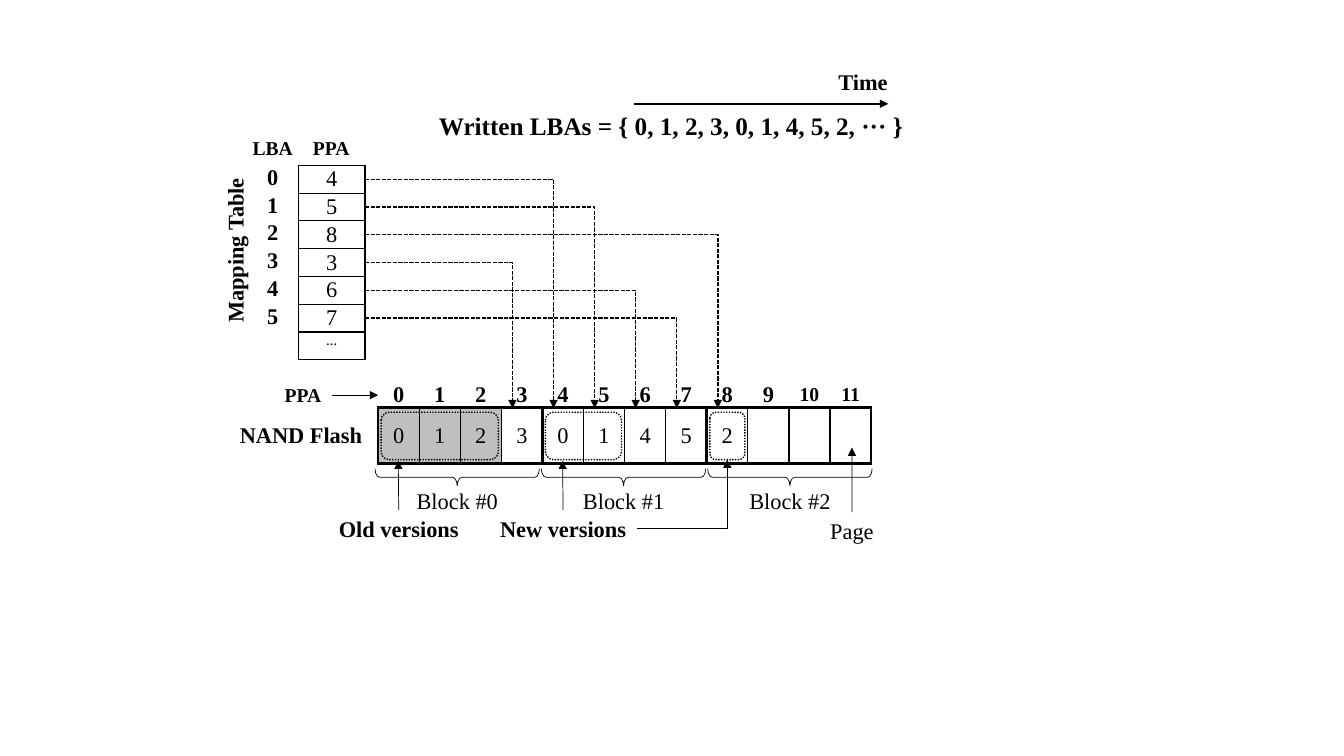
from lxml.etree import SubElement
from pptx import Presentation
from pptx.dml.color import RGBColor
from pptx.enum.dml import MSO_LINE_DASH_STYLE as Dash
from pptx.enum.shapes import MSO_CONNECTOR as Link, MSO_SHAPE as Shape
from pptx.enum.text import MSO_ANCHOR as Anchor, MSO_AUTO_SIZE as AutoSize, PP_ALIGN as Align
from pptx.oxml.ns import qn
from pptx.util import Inches, Pt

# Content
MAPPING = [("0", "4"), ("1", "5"), ("2", "8"), ("3", "3"), ("4", "6"), ("5", "7"), ("", "…")]
STORED = ["0", "1", "2", "3", "0", "1", "4", "5", "2", "", "", ""]
OLD_PAGES = 3
BLOCKS = ["Block #0", "Block #1", "Block #2"]
VERSION_GROUPS = [(0, 3), (4, 2), (8, 1)]  # first page, number of pages
LABELS = {  # name: text, left, top, width, size, bold
    "writes": ("Written LBAs = { 0, 1, 2, 3, 0, 1, 4, 5, 2, ··· }", 4.23, 1.05, 4.85, 18, True),
    "time": ("Time", 8.21, 0.63, 0.7, 16, True),
    "mapping": ("Mapping Table", 1.5, 2.3, 1.66, 16, True),
    "lba head": ("LBA", 2.4, 1.3, 0.61, 14, True),
    "ppa head": ("PPA", 3, 1.3, 0.57, 14, True),
    "ppa": ("PPA", 2.72, 3.75, 0.57, 14, True),
    "flash": ("NAND Flash", 2.27, 4.13, 1.43, 16, True),
    "old": ("Old versions", 3.25, 5.06, 1.41, 16, True),
    "new": ("New versions", 4.85, 5.06, 1.47, 16, True),
    "page": ("Page", 8.13, 5.08, 0.64, 16, False),
}
LABEL_HEIGHT = {14: 0.34, 16: 0.37, 18: 0.4}
FONT, INK, OLD_FILL = "Times New Roman", "000000", "BFBFBF"

# Grid, in inches
FLASH_X, FLASH_Y, FLASH_W, FLASH_H = 3.75, 4.05, 4.89, 0.55
PAGE_W = FLASH_W / len(STORED)
BLOCK_W = FLASH_W / len(BLOCKS)
MAP_X, MAP_Y, MAP_COLS, MAP_H = 2.43, 1.64, (0.53, 0.66), 1.93
MAP_ROW = MAP_H / len(MAPPING)
BRACE_X, BRACE_PITCH, BRACE_H = 3.72, 1.65, 0.17

prs = Presentation()
prs.slide_width, prs.slide_height = Inches(13.33), Inches(7.5)
slide = prs.slides.add_slide(prs.slide_layouts[6])
shapes = slide.shapes


def color(value):
    return RGBColor.from_string(value)


def box(*lengths):
    return [Inches(length) for length in lengths]


def write(paragraph, text, size, bold=False, font=FONT, align=Align.CENTER):
    paragraph.alignment = align
    run = paragraph.add_run()
    run.text = text
    run.font.size, run.font.bold, run.font.name = Pt(size), bold, font
    run.font.color.rgb = color(INK)


def label(text, left, top, width, size, bold):
    text_box = shapes.add_textbox(*box(left, top, width, LABEL_HEIGHT[size]))
    frame = text_box.text_frame
    frame.word_wrap, frame.auto_size = False, AutoSize.SHAPE_TO_FIT_TEXT
    write(frame.paragraphs[0], text, size, bold)
    return text_box


def table(left, top, widths, row_count, height):
    grid = shapes.add_table(row_count, len(widths), *box(left, top, sum(widths), height)).table
    grid.first_row = grid.horz_banding = False
    for column, width in zip(grid.columns, widths):
        column.width = Inches(width)
    for row in grid.rows:
        row.height = Inches(height / row_count)
    return grid


def style_cell(cell, border=0, fill=None):
    """Border is a width in points; 0 leaves all four sides open."""
    cell.vertical_anchor = Anchor.MIDDLE
    props = cell._tc.get_or_add_tcPr()
    for side in ("a:lnL", "a:lnR", "a:lnT", "a:lnB"):
        edge = SubElement(props, qn(side), w=str(Pt(border)))
        if border:
            SubElement(SubElement(edge, qn("a:solidFill")), qn("a:srgbClr"), val=INK)
        else:
            SubElement(edge, qn("a:noFill"))
    if fill:
        cell.fill.solid()
        cell.fill.fore_color.rgb = color(fill)
    else:
        cell.fill.background()


def outline(kind, left, top, width, height, weight):
    part = shapes.add_shape(kind, *box(left, top, width, height))
    part.shadow.inherit = False
    part.fill.background()
    part.line.color.rgb, part.line.width = color(INK), Pt(weight)
    return part


def arrow(start, end, weight, kind=Link.STRAIGHT, dash=None):
    link = shapes.add_connector(kind, *box(*start, *end))
    link.line.color.rgb, link.line.width = color(INK), Pt(weight)
    if dash:
        link.line.dash_style = dash
    props = link._element.spPr
    SubElement(link.line._get_or_add_ln(), qn("a:tailEnd"), type="triangle")
    SubElement(props, qn("a:effectLst"))
    if kind == Link.ELBOW:  # run level first, turn at the far end
        guides = props.find(qn("a:prstGeom")).get_or_add_avLst()
        SubElement(guides, qn("a:gd"), name="adj1", fmla="val 100000")
    return link


def page_x(page):
    return FLASH_X + page * PAGE_W


# Flash pages
pages = table(FLASH_X, FLASH_Y, [PAGE_W] * len(STORED), 1, FLASH_H)
for index, lba in enumerate(STORED):
    cell = pages.cell(0, index)
    style_cell(cell, 1, OLD_FILL if index < OLD_PAGES else None)
    if lba:
        write(cell.text_frame.paragraphs[0], lba, 16)

# Mapping table
mapping = table(MAP_X, MAP_Y, MAP_COLS, len(MAPPING), MAP_H)
for row, entry in enumerate(MAPPING):
    for column, value in enumerate(entry):
        cell = mapping.cell(row, column)
        cell.margin_left = cell.margin_right = cell.margin_top = cell.margin_bottom = 0
        style_cell(cell, column)
        line = cell.text_frame.paragraphs[0]
        if value == "…":
            cell.vertical_anchor = Anchor.TOP
            write(line, value, 10.5, font="Calibri")
        elif value:
            if column == 0:
                cell.margin_left, cell.vertical_anchor = Inches(0.22), Anchor.TOP
            write(line, value, 16, column == 0, align=Align.CENTER if column else Align.LEFT)
        else:
            SubElement(line._p, qn("a:endParaRPr"), sz="1000")

# Arrows from mapping rows to flash pages
for row, (_, ppa) in enumerate(MAPPING[:-1]):
    start = (MAP_X + sum(MAP_COLS), MAP_Y + (row + 0.5) * MAP_ROW)
    arrow(start, (page_x(int(ppa) + 0.27), FLASH_Y), 1, Link.ELBOW, Dash.SQUARE_DOT)

# Blocks: heavy frame, braces and names
frames = table(FLASH_X, FLASH_Y - 0.01, [BLOCK_W] * len(BLOCKS), 1, FLASH_H + 0.01)
for index, block in enumerate(BLOCKS):
    style_cell(frames.cell(0, index), 2.25)
    middle = BRACE_X + index * BRACE_PITCH + BLOCK_W / 2
    brace = outline(Shape.LEFT_BRACE, middle - BRACE_H / 2, 3.92, BRACE_H, BLOCK_W, 0.5)
    brace.rotation = 270
    brace.adjustments[0] = 0.27
    label(block, middle - 0.51, 4.78, 1.02, 16, False)

# Dotted groups of old and new versions
for first, count in VERSION_GROUPS:
    group = outline(Shape.ROUNDED_RECTANGLE, page_x(first) + 0.03, FLASH_Y + 0.04,
                    count * PAGE_W - 0.06, 0.47, 1)
    group.line.dash_style = Dash.ROUND_DOT

# Page addresses
addresses = table(FLASH_X, 3.73, [PAGE_W] * len(STORED), 1, 0.37)
for index in range(len(STORED)):
    cell = addresses.cell(0, index)
    style_cell(cell)
    write(cell.text_frame.paragraphs[0], str(index), 16 if index < 10 else 14, True)

# Labels and their arrows
placed = {name: label(*details) for name, details in LABELS.items()}
placed["mapping"].rotation = 270
arrow((6.29, 1.03), (8.81, 1.03), 1.5)
for name, site, start, end in [
    ("ppa", 3, (3.29, 3.92), (FLASH_X, 3.92)),
    ("old", 0, (3.95, 5.06), (3.95, 4.57)),
    ("new", 0, (5.58, 5.06), (5.58, 4.57)),
    ("page", 0, (8.45, 5.08), (8.45, 4.44)),
]:
    arrow(start, end, 0.5).begin_connect(placed[name], site)
arrow((6.32, 5.24), (page_x(8.5), 4.56), 0.5, Link.ELBOW)

prs.save("out.pptx")
